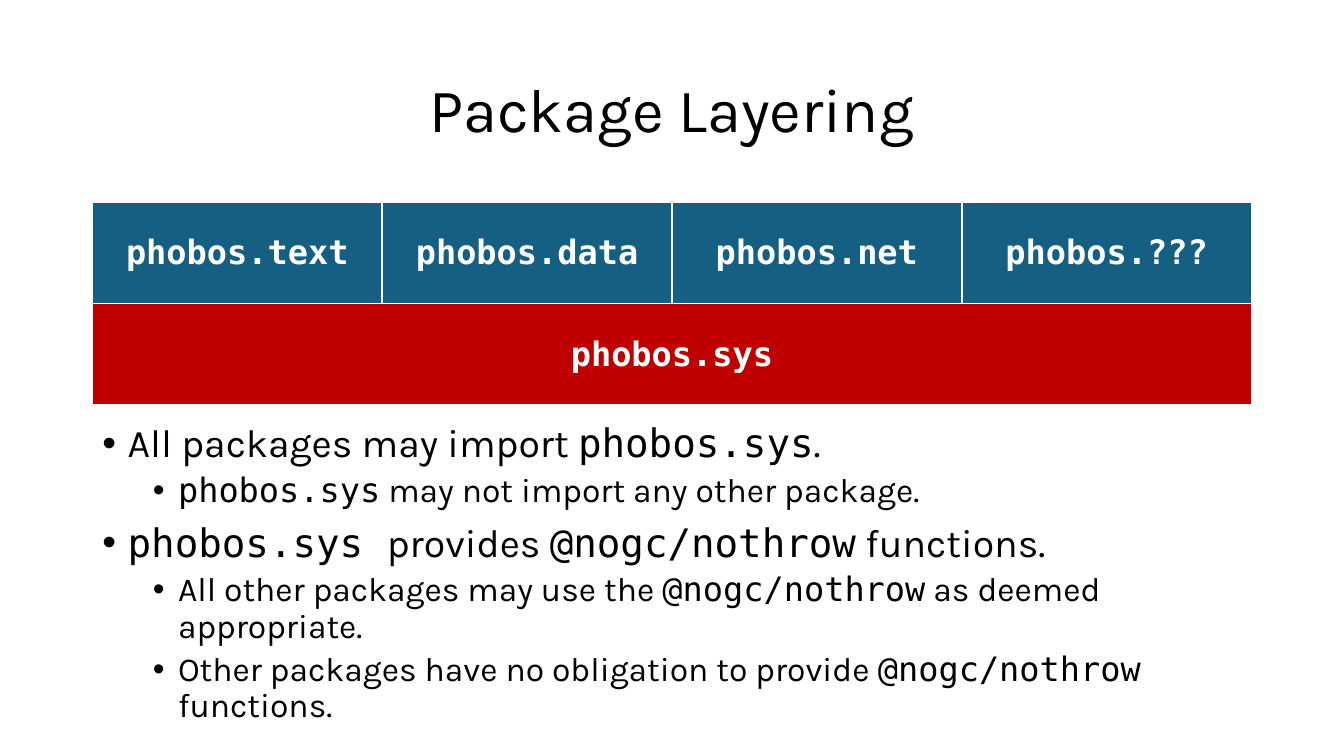
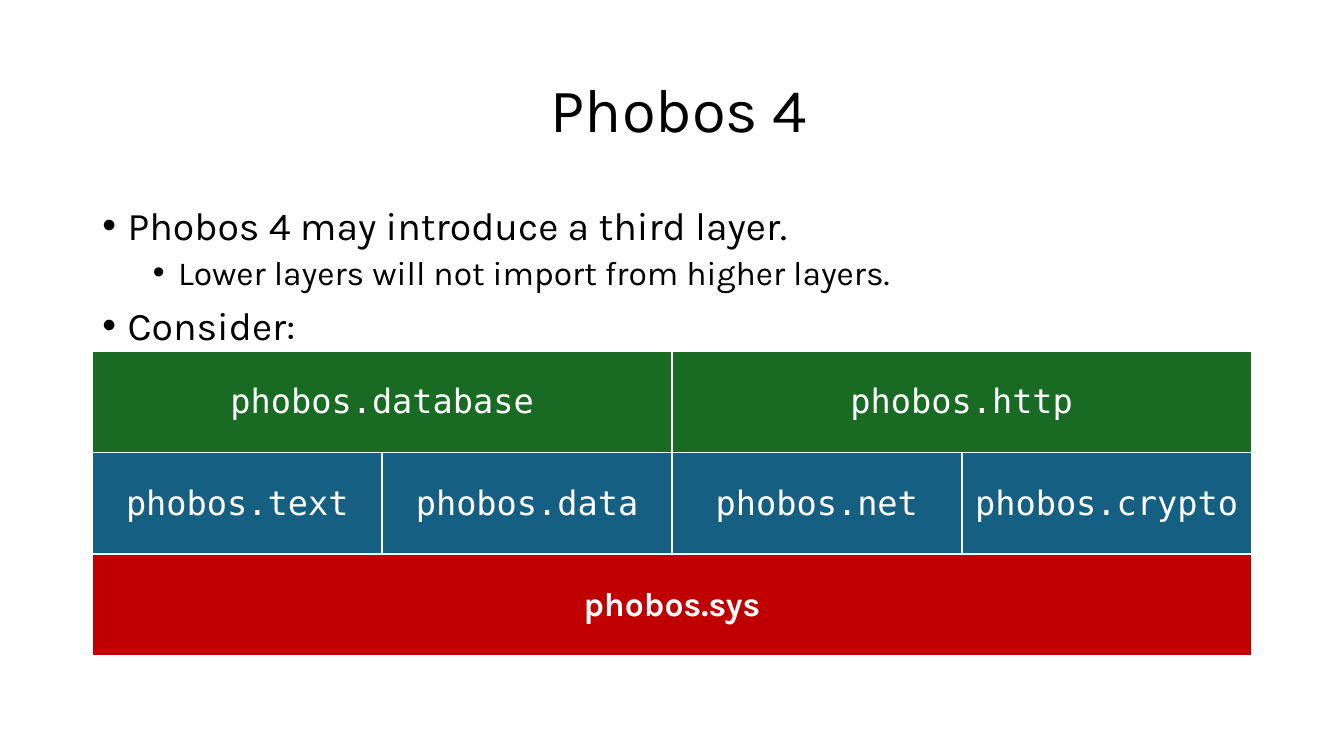
from lxml.etree import SubElement
from pptx import Presentation
from pptx.dml.color import RGBColor
from pptx.enum.text import MSO_ANCHOR, MSO_AUTO_SIZE, PP_ALIGN
from pptx.oxml.ns import qn
from pptx.util import Pt

# Shared style
BLACK = RGBColor(0x00, 0x00, 0x00)
WHITE = RGBColor(0xFF, 0xFF, 0xFF)
BLUE = RGBColor(0x15, 0x60, 0x82)
RED = RGBColor(0xC0, 0x00, 0x00)
GREEN = RGBColor(0x19, 0x6B, 0x24)
SANS, MONO = "Karla", "DejaVu Sans Mono"

SCALE = 9525  # EMU in one px
LEFT, WIDE = 88, 1104
COLS, ROW = 4, 97
TITLE = {"name": SANS, "size": Pt(44), "bold": False}
CELL = {"name": MONO, "size": Pt(24), "bold": False}
STRONG = {"bold": True}
# Size, space before and indent of each list level
LEVELS = ((28, 10, 24), (24, 5, 72))
HANG = 24


def px(num):
    return num * SCALE


def assign(item, values):
    for key, value in values.items():
        setattr(item, key, value)


def place(shape, top, high):
    assign(shape, {"left": px(LEFT), "top": px(top),
                   "width": px(WIDE), "height": px(high)})


def add_run(para, text, font, color):
    run = para.add_run()
    run.text = text
    assign(run.font, font)
    run.font.color.rgb = color


def add_title(slide, text):
    title = slide.shapes.title
    place(title, 38, 139)
    assign(title.text_frame, {"vertical_anchor": MSO_ANCHOR.MIDDLE,
                              "auto_size": MSO_AUTO_SIZE.NONE})
    para = title.text_frame.paragraphs[0]
    assign(para, {"alignment": PP_ALIGN.CENTER, "line_spacing": 0.9})
    add_run(para, text, TITLE, BLACK)


def add_list(slide, top, high, items):
    """Fill the body; text between backticks is set in the code font."""
    body = slide.placeholders[1]
    place(body, top, high)
    frame = body.text_frame
    assign(frame, {"vertical_anchor": MSO_ANCHOR.TOP,
                   "auto_size": MSO_AUTO_SIZE.NONE})
    for index, (level, text) in enumerate(items):
        para = frame.add_paragraph() if index else frame.paragraphs[0]
        size, before, indent = LEVELS[level]
        props = para._p.get_or_add_pPr()
        props.set("marL", str(px(indent)))
        props.set("indent", str(-px(HANG)))
        SubElement(props, qn("a:buChar"), char="•")
        assign(para, {"level": level, "line_spacing": 0.9,
                      "space_before": Pt(before if index else 0)})
        for part, words in enumerate(text.split("`")):
            if words:
                name = MONO if part % 2 else SANS
                add_run(para, words, {"name": name, "size": Pt(size)}, BLACK)


def add_border(cell):
    props = cell._tc.get_or_add_tcPr()
    for side in ("lnL", "lnR", "lnT", "lnB"):
        line = SubElement(props, qn(f"a:{side}"), w=str(Pt(1.5)))
        fill = SubElement(line, qn("a:solidFill"))
        SubElement(fill, qn("a:srgbClr"), val=str(WHITE))


def add_layers(slide, top, layers):
    """Draw one table row per layer, its packages sharing the width."""
    frame = slide.shapes.add_table(len(layers), COLS, px(LEFT), px(top),
                                   px(WIDE), px(ROW * len(layers)))
    table = frame.table
    assign(table, {"first_row": False, "horz_banding": False})
    for row, (color, names, font) in enumerate(layers):
        for col in range(COLS):
            cell = table.cell(row, col)
            add_border(cell)
            cell.fill.solid()
            cell.fill.fore_color.rgb = color
        span = COLS // len(names)
        for index, name in enumerate(names):
            cell = table.cell(row, index * span)
            if span > 1:
                cell.merge(table.cell(row, (index + 1) * span - 1))
            cell.vertical_anchor = MSO_ANCHOR.MIDDLE
            para = cell.text_frame.paragraphs[0]
            para.alignment = PP_ALIGN.CENTER
            add_run(para, name, CELL | font, WHITE)


def main():
    deck = Presentation()
    assign(deck, {"slide_width": px(1280), "slide_height": px(720)})
    layout = deck.slide_layouts[1]

    # Package layering
    slide = deck.slides.add_slide(layout)
    add_title(slide, "Package Layering")
    add_layers(slide, 192, [
        (BLUE, ["phobos.text", "phobos.data", "phobos.net", "phobos.???"],
         STRONG),
        (RED, ["phobos.sys"], STRONG),
    ])
    add_list(slide, 399, 250, [
        (0, "All packages may import `phobos.sys`."),
        (1, "`phobos.sys` may not import any other package."),
        (0, "`phobos.sys `provides `@nogc/nothrow` functions."),
        (1, "All other packages may use the `@nogc/nothrow` as deemed "
            "appropriate."),
        (1, "Other packages have no obligation to provide `@nogc/nothrow` "
            "functions."),
    ])

    # Third layer
    slide = deck.slides.add_slide(layout)
    add_title(slide, " Phobos 4")
    add_list(slide, 192, 457, [
        (0, "Phobos 4 may introduce a third layer."),
        (1, "Lower layers will not import from higher layers."),
        (0, "Consider:"),
    ])
    add_layers(slide, 334, [
        (GREEN, ["phobos.database", "phobos.http"], {}),
        (BLUE, ["phobos.text", "phobos.data", "phobos.net", "phobos.crypto"],
         {}),
        (RED, ["phobos.sys"], STRONG | {"name": SANS}),
    ])

    deck.save("out.pptx")


if __name__ == "__main__":
    main()
